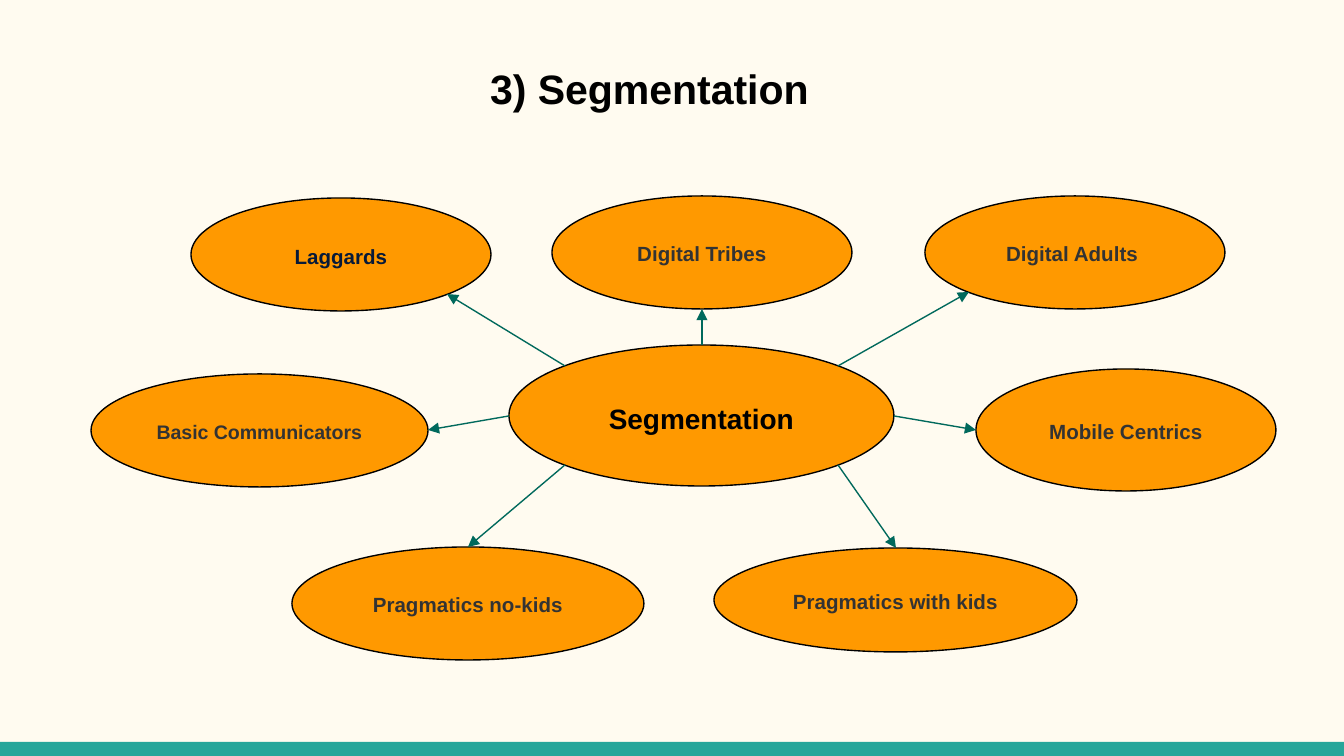
from math import cos, radians, sin

from lxml import etree
from pptx import Presentation
from pptx import util as u
from pptx.dml.color import RGBColor
from pptx.enum import shapes, text
from pptx.oxml.ns import qn

WIDTH, HEIGHT = 1344, 756
SCALE = u.Inches(10) / WIDTH
COLORS = {
    "page": "FFFBF0",
    "band": "26A69A",
    "bubble": "FF9900",
    "black": "000000",
    "navy": "071A39",
    "gray": "333333",
    "arrow": "00695C",
}
# Points on an ellipse as angles, clockwise from the right
SITES = {
    "right": 0, "bottom right": 45, "bottom": 90, "bottom left": 135,
    "left": 180, "top left": 225, "top": 270, "top right": 315,
}


def px(*lengths):
    return [u.Emu(round(length * SCALE)) for length in lengths]


def color(name):
    return RGBColor.from_string(COLORS[name])


def site(bounds, name):
    """Return a named point on the ellipse inside the bounds."""
    left, top, width, height = bounds
    angle = radians(SITES[name])
    return (round(left + width / 2 * (1 + cos(angle))),
            round(top + height / 2 * (1 + sin(angle))))


class SlideBuilder:
    font = "Arial"
    inset = 13
    line_width = u.Pt(0.75)

    def __init__(self, deck):
        self.page = deck.slides.add_slide(deck.slide_layouts[5])
        fill = self.page.background.fill
        fill.solid()
        fill.fore_color.rgb = color("page")

    def label(self, box, words, size, ink, spacing, anchor):
        frame = box.text_frame
        frame.text = words
        frame.word_wrap = True
        frame.auto_size = text.MSO_AUTO_SIZE.NONE
        frame.vertical_anchor = anchor
        (frame.margin_left, frame.margin_top,
         frame.margin_right, frame.margin_bottom) = px(*[self.inset] * 4)
        para = frame.paragraphs[0]
        para.alignment = text.PP_ALIGN.CENTER
        para.line_spacing = spacing
        for span in para.runs:
            span.font.name = self.font
            span.font.size = u.Pt(size)
            span.font.bold = True
            span.font.color.rgb = color(ink)

    def title(self, words, bounds):
        box = self.page.shapes.title
        box.left, box.top, box.width, box.height = px(*bounds)
        self.label(box, words, 22, "black", 1.1, text.MSO_ANCHOR.TOP)

    def shape(self, kind, bounds, fill):
        box = self.page.shapes.add_shape(kind, *px(*bounds))
        box.shadow.inherit = False
        box.fill.solid()
        box.fill.fore_color.rgb = color(fill)
        return box

    def band(self, bounds):
        box = self.shape(shapes.MSO_SHAPE.RECTANGLE, bounds, "band")
        box.line.fill.background()

    def bubble(self, words, bounds, size=11, ink="gray", spacing=1.09):
        box = self.shape(shapes.MSO_SHAPE.OVAL, bounds, "bubble")
        box.line.color.rgb = color("black")
        box.line.width = self.line_width
        self.label(box, words, size, ink, spacing, text.MSO_ANCHOR.MIDDLE)

    def arrow(self, start, end):
        arrow = self.page.shapes.add_connector(
            shapes.MSO_CONNECTOR.STRAIGHT, *px(*start, *end))
        arrow.line.color.rgb = color("arrow")
        arrow.line.width = self.line_width
        properties = arrow._element.spPr
        outline = properties.find(qn("a:ln"))
        etree.SubElement(outline, qn("a:tailEnd"), type="triangle")
        etree.SubElement(properties, qn("a:effectLst"))


def main():
    deck = Presentation()
    deck.slide_width, deck.slide_height = px(WIDTH, HEIGHT)
    slide = SlideBuilder(deck)

    # Title and bottom band
    slide.band((0, 742, WIDTH, 14))
    slide.title("3) Segmentation", (23, 46, 1253, 90))

    # Central topic
    hub = (509, 345, 385, 141)
    slide.bubble("Segmentation", hub, 15, "black", 1.15)

    # Segments: words, bounds, arrow start on the hub, arrow end, text style
    segments = [
        ("Laggards", (191, 198, 300, 113), "top left", "bottom right",
         {"ink": "navy", "spacing": 1.15}),
        ("Digital Tribes", (552, 196, 300, 113), "top", "bottom", {}),
        ("Digital Adults ", (925, 196, 300, 113), "top right", "bottom left", {}),
        ("Basic Communicators", (91, 374, 337, 113), "left", "right", {"size": 10.5}),
        ("Mobile Centrics", (976, 369, 300, 122), "right", "left", {}),
        ("Pragmatics no-kids", (292, 547, 352, 113), "bottom left", "top", {}),
        ("Pragmatics with kids", (714, 548, 363, 104), "bottom right", "top", {}),
    ]
    for words, bounds, start, end, style in segments:
        slide.bubble(words, bounds, **style)
        slide.arrow(site(hub, start), site(bounds, end))

    deck.save("out.pptx")


if __name__ == "__main__":
    main()
